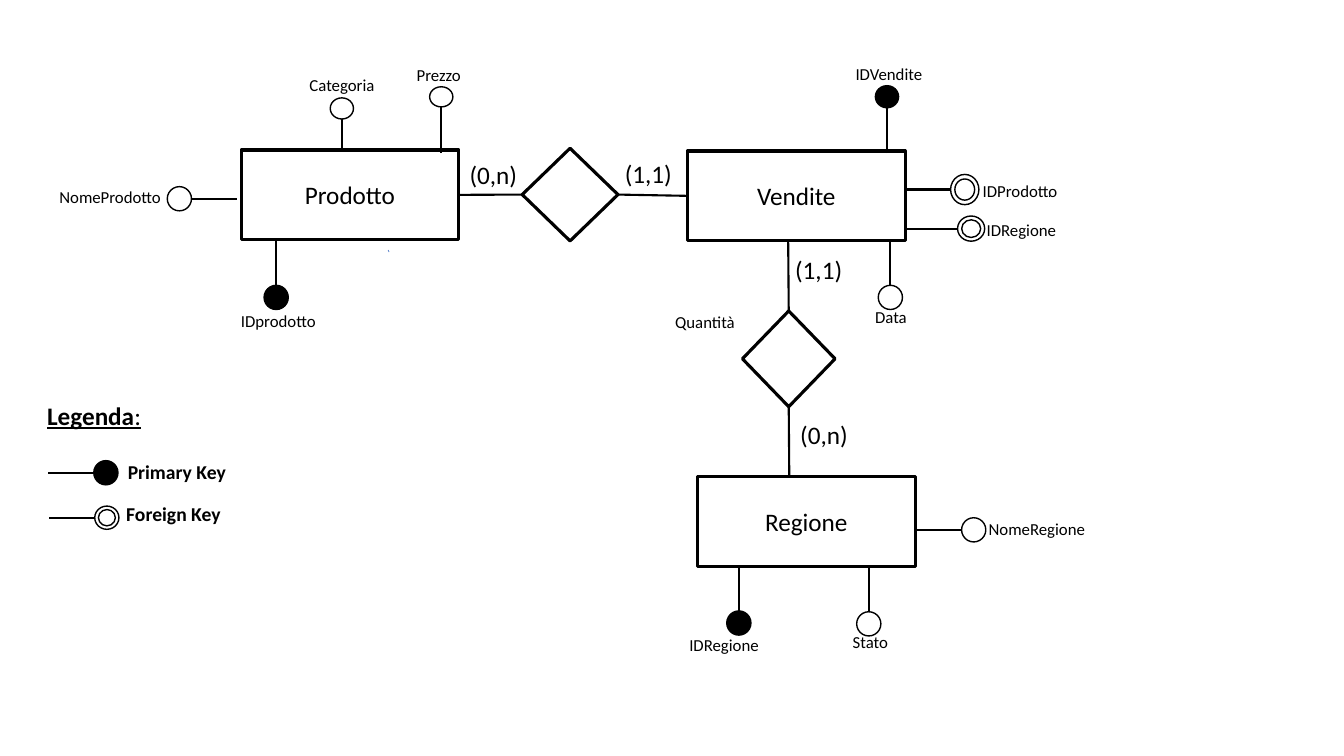
from lxml.etree import SubElement
from pptx import Presentation
from pptx.dml.color import RGBColor
from pptx.enum.shapes import MSO_CONNECTOR, MSO_SHAPE
from pptx.enum.text import MSO_ANCHOR, MSO_AUTO_SIZE, PP_ALIGN
from pptx.oxml.ns import qn
from pptx.util import Pt

BLACK, WHITE, BLUE = "000000", "FFFFFF", "4472C4"

deck = Presentation()
deck.slide_width, deck.slide_height = Pt(960), Pt(540)
shapes = deck.slides.add_slide(deck.slide_layouts[6]).shapes


def add_line(x1, y1, x2, y2, width=1.5, color=BLACK):
    line = shapes.add_connector(MSO_CONNECTOR.STRAIGHT, Pt(x1), Pt(y1), Pt(x2), Pt(y2))
    line.line.width = Pt(width)
    line.line.color.rgb = RGBColor.from_string(color)
    SubElement(line._element.spPr, qn("a:effectLst"))
    return line


def add_form(kind, x, y, w, h, width, fill=None):
    """Draw a black-edged shape centred on x, y; no fill colour leaves it hollow."""
    form = shapes.add_shape(kind, Pt(x - w / 2), Pt(y - h / 2), Pt(w), Pt(h))
    form.shadow.inherit = False
    form.line.width = Pt(width)
    form.line.color.rgb = RGBColor.from_string(BLACK)
    if fill:
        form.fill.solid()
        form.fill.fore_color.rgb = RGBColor.from_string(fill)
    else:
        form.fill.background()
    return form


# Entities: name, centre
boxes = {}
for name, x, y in [("Prodotto", 250, 139.2), ("Vendite", 568.8, 139.9), ("Regione", 576, 372.5)]:
    box = boxes[name] = add_form(MSO_SHAPE.RECTANGLE, x, y, 155.5, 64, 2.25)
    box.text_frame.vertical_anchor = MSO_ANCHOR.MIDDLE
    par = box.text_frame.paragraphs[0]
    par.text = name
    par.alignment = PP_ALIGN.CENTER
    par.font.name, par.font.size = "Calibri", Pt(18)
    par.font.color.rgb = RGBColor.from_string(BLACK)

# Relations and their links
sale = add_form(MSO_SHAPE.DIAMOND, 407.2, 139, 68.4, 66.2, 2.25)
area = add_form(MSO_SHAPE.DIAMOND, 563.4, 256.3, 66.2, 68.4, 2.25)

link = add_line(327.7, 139.2, 373, 139)
link.begin_connect(boxes["Prodotto"], 3)
link.end_connect(sale, 1)
link = add_line(441.4, 139, 491, 139.9)
link.begin_connect(sale, 3)
link.end_connect(boxes["Vendite"], 1)
add_line(563, 172, 563.4, 222).end_connect(area, 0)
add_line(563.4, 290.5, 563.8, 340.5).begin_connect(area, 2)

# Attributes: start, direction, stem length, circle size, kind, stem width
pins = [
    (197.3, 171.4, 0, 1, 32.4, 17.3, 17.3, "primary", 1.5),
    (633.6, 109.4, 0, -1, 32.4, 16.6, 15.8, "primary", 1.5),
    (636, 171.4, 0, 1, 32.4, 17.3, 17.3, "plain", 1.5),
    (169.2, 142, -1, 0, 32.4, 17.3, 17.3, "plain", 1.5),
    (527.8, 404, 0, 1, 32.4, 17.3, 17.3, "primary", 1.5),
    (244.2, 108, 0, -1, 23, 16.6, 15.1, "plain", 1),
    (315.2, 109.4, 0, -1, 33, 16.6, 14.4, "plain", 1.5),
    (620.6, 404.6, 0, 1, 32.4, 17.3, 17.3, "plain", 1.5),
    (654.5, 378.5, 1, 0, 32.4, 17.3, 17.3, "plain", 1.5),
    (646.6, 135.4, 1, 0, 32.4, 20.2, 21.6, "foreign", 1.5),
    (647.3, 163.3, 1, 0, 36.7, 19.4, 18, "foreign", 1.5),
    (34.6, 337.7, 1, 0, 32.4, 17.3, 17.3, "primary", 1.5),
    (35.3, 369.8, 1, 0, 32.4, 17.3, 16.6, "foreign", 1.5),
]
for x, y, dx, dy, stem, w, h, kind, width in pins:
    add_line(x, y, x + dx * stem, y + dy * stem, width)
    x += dx * (stem + w / 2)
    y += dy * (stem + h / 2)
    add_form(MSO_SHAPE.OVAL, x, y, w, h, 1, BLACK if kind == "primary" else WHITE)
    if kind == "foreign":
        add_form(MSO_SHAPE.FLOWCHART_CONNECTOR, x, y, 0.7 * w, 0.7 * h, 1, WHITE)

# Small pen strokes
add_line(277.2, 178.6, 277.9, 180, 0.5, BLUE)
add_line(749.5, 140.4, 749.5, 139.7, 1)
add_line(749.5, 139.7, 749.7, 139.7, 0.5, BLUE)

# Labels: text, left, top, width, size, wrap
labels = [
    ("IDVendite", 604, 41.8, 79, 12, True),
    ("IDprodotto", 165, 218.3, 122, 12, True),
    ("NomeProdotto", 35.3, 129.6, 93, 12, True),
    ("Categoria", 214, 49.7, 61, 12, False),
    ("Prezzo", 290.5, 42.5, 85, 12, True),
    ("Data", 618, 215.3, 51, 12, True),
    ("Quantità", 475.2, 218.9, 57.6, 12, False),
    ("IDRegione", 485.3, 450, 64.8, 12, False),
    ("NomeRegione", 699.1, 367.2, 84.2, 12, False),
    ("IDProdotto", 694.8, 125.3, 68.4, 12, False),
    ("IDRegione", 697.7, 153.4, 64.8, 12, False),
    ("Stato", 602, 447.8, 40.3, 12, False),
    ("(0,n)", 328.3, 110.2, 66, 18, True),
    ("(1,1)", 439.2, 109.4, 66, 18, True),
    ("(1,1)", 560.9, 177.8, 66, 18, True),
    ("(0,n)", 564.5, 296, 66, 18, True),
    ("Primary Key", 84.2, 324.7, 85, 14, False),
    ("Foreign Key", 70.6, 355, 106.6, 14, True),
    ("Legenda", 26.6, 282.2, 81.4, 18, False),
]
for text, x, y, w, size, wrap in labels:
    height = {12: 21.6, 14: 24.5, 18: 28.8}[size]
    frame = shapes.add_textbox(Pt(x), Pt(y), Pt(w), Pt(height)).text_frame
    frame.word_wrap = wrap
    frame.auto_size = MSO_AUTO_SIZE.SHAPE_TO_FIT_TEXT
    par = frame.paragraphs[0]
    par.font.name, par.font.size = "Calibri", Pt(size)
    par.font.color.rgb = RGBColor.from_string(BLACK)
    run = par.add_run()
    run.text = text
    runs = [run]
    if text == "Foreign Key":
        par.alignment = PP_ALIGN.CENTER
    if text == "Legenda":
        colon = par.add_run()
        colon.text = ":"
        runs.append(colon)
        par.font.underline = True
    for part in runs:
        part.font.name, part.font.size = "Calibri", Pt(size)
        part.font.color.rgb = RGBColor.from_string(BLACK)
        part.font.underline = par.font.underline
    if text.endswith("Key") or text == "Legenda":
        run.font.bold = True

deck.save("out.pptx")
